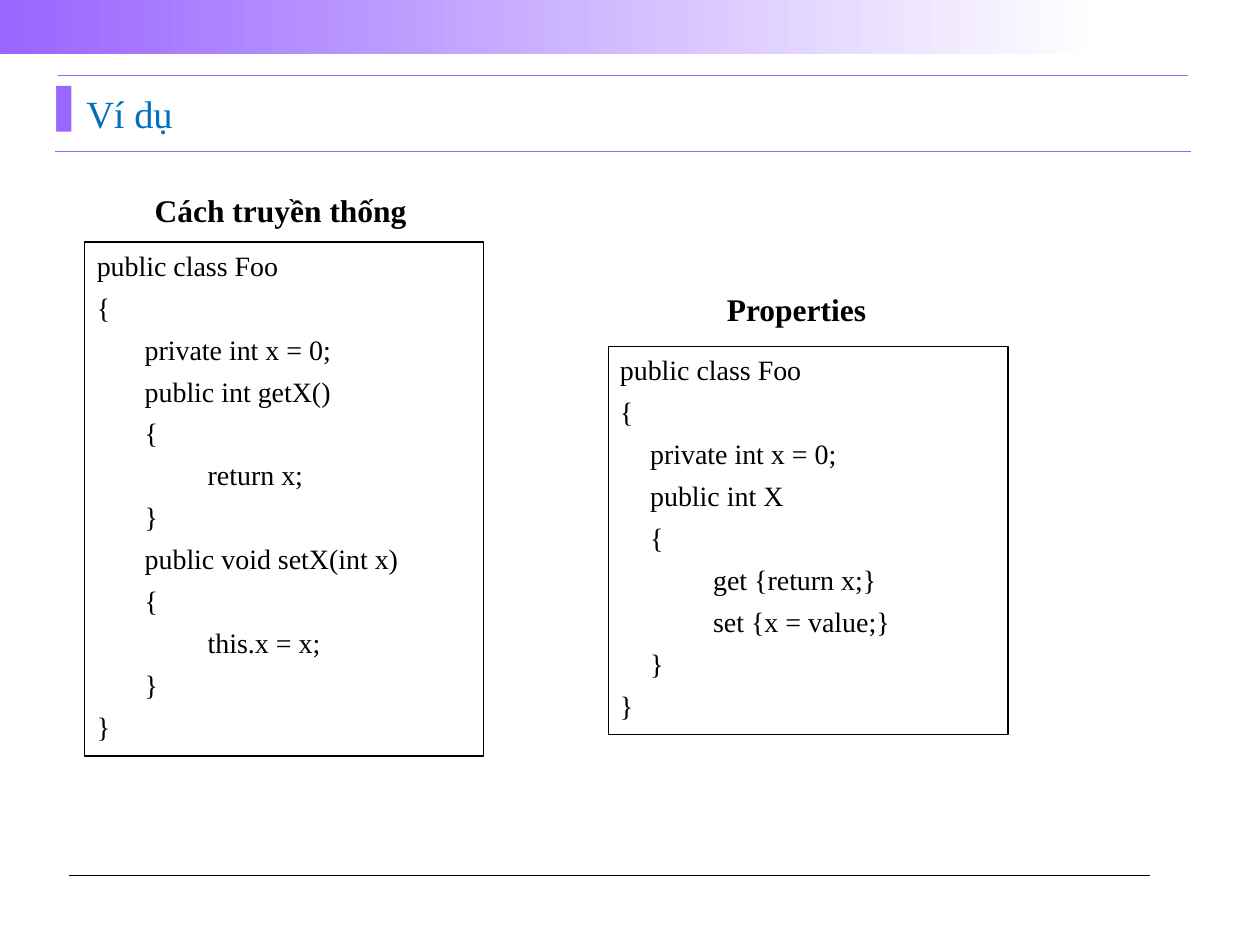
import pptx
import pptx.util
import pptx.dml.color
import pptx.enum.shapes
import pptx.enum.text
import pptx.oxml
import pptx.oxml.ns

W, H = 10, 7.5
FONT = "Times New Roman"
COLORS = {"accent": "9966FF", "title": "0070C0", "ink": "000000", "paper": "FFFFFF"}

GETTER_SETTER = """public class Foo
{
\tprivate int x = 0;
\tpublic int getX()
\t{
\t\treturn x;
\t}
\tpublic void setX(int x)
\t{
\t\tthis.x = x;
\t}
}"""

PROPERTY = """public class Foo
{
\tprivate int x = 0;
\tpublic int X
\t{
\t\tget {return x;}
\t\tset {x = value;}
\t}
}"""


def rgb(name):
    return pptx.dml.color.RGBColor.from_string(COLORS[name])


def inches(*values):
    return [pptx.util.Inches(v) for v in values]


def add_run(p, text, size, color="ink", bold=False):
    r = p.add_run()
    r.text = text
    r.font.name, r.font.size, r.font.bold = FONT, pptx.util.Pt(size), bold
    r.font.color.rgb = rgb(color)


def set_frame(tf, anchor, inset_x=0.1, inset_y=0.05, wrap=True):
    tf.word_wrap = wrap
    tf.vertical_anchor = anchor
    tf.margin_left, tf.margin_right = inches(inset_x, inset_x)
    tf.margin_top, tf.margin_bottom = inches(inset_y, inset_y)


def set_hanging(p, indent):
    p.alignment = pptx.enum.text.PP_ALIGN.LEFT
    pPr = p._p.get_or_add_pPr()
    pPr.set("marL", str(pptx.util.Inches(indent)))
    pPr.set("indent", str(-pptx.util.Inches(indent)))
    return pPr


def add_xml(parent, xml):
    head, rest = xml.split(">", 1) if not xml.endswith("/>") else (xml[:-2], None)
    ns = pptx.oxml.ns.nsdecls("a")
    xml = f"{head} {ns}/>" if rest is None else f"{head} {ns}>{rest}"
    parent.append(pptx.oxml.parse_xml(xml))


def add_rule(s, x1, x2, y, color, width):
    line = s.shapes.add_connector(
        pptx.enum.shapes.MSO_CONNECTOR.STRAIGHT, *inches(x1, y, x2, y))
    line.line.color.rgb = rgb(color)
    line.line.width = pptx.util.Pt(width)
    add_xml(line._element.spPr, "<a:effectLst/>")


def add_rect(s, x, y, w, h):
    sp = s.shapes.add_shape(
        pptx.enum.shapes.MSO_SHAPE.RECTANGLE, *inches(x, y, w, h))
    sp.shadow.inherit = False
    return sp


def add_band(s):
    sp = add_rect(s, 0, 0, 8.76, 0.43)
    sp.line.fill.background()
    sp.fill.gradient()
    sp.fill.gradient_angle = 0
    for stop, color in zip(sp.fill.gradient_stops, ("accent", "paper")):
        stop.color.rgb = rgb(color)


def set_title(s, text):
    sp = s.shapes.title
    sp.left, sp.top, sp.width, sp.height = inches(0.45, 0.71, 8.62, 0.37)
    set_frame(sp.text_frame, pptx.enum.text.MSO_ANCHOR.BOTTOM, 0, 0)
    p = sp.text_frame.paragraphs[0]
    pPr = set_hanging(p, 0.19)
    add_xml(pPr, f'<a:buClr><a:srgbClr val="{COLORS["accent"]}"/></a:buClr>')
    add_xml(pPr, '<a:buChar char="▌"/>')
    add_run(p, text, 22, "title")


def add_heading(s, text, x, y, w):
    tf = s.shapes.add_textbox(*inches(x, y, w, 0.4)).text_frame
    set_frame(tf, pptx.enum.text.MSO_ANCHOR.MIDDLE, wrap=False)
    add_run(tf.paragraphs[0], text, 18, bold=True)


def add_code(s, code, x, y, h, indent, inset):
    sp = add_rect(s, x, y, 3.17, h)
    sp.fill.background()
    sp.line.color.rgb = rgb("ink")
    sp.line.width = pptx.util.Pt(0.75)
    tf = sp.text_frame
    set_frame(tf, pptx.enum.text.MSO_ANCHOR.TOP, inset)
    tabs = "".join(f'<a:tab pos="{pptx.util.Inches(i)}" algn="l"/>' for i in range(8))
    for i, text in enumerate(code.splitlines()):
        p = tf.add_paragraph() if i else tf.paragraphs[0]
        p.space_before = pptx.util.Pt(4.8)
        add_xml(set_hanging(p, indent), f"<a:tabLst>{tabs}</a:tabLst>")
        add_run(p, text, 16)


def main():
    prs = pptx.Presentation()
    prs.slide_width, prs.slide_height = inches(W, H)
    s = prs.slides.add_slide(prs.slide_layouts[5])

    # Page frame
    add_band(s)
    add_rule(s, 0.44, 9.45, 1.2, "accent", 0.5)
    add_rule(s, 0.55, 9.13, 6.95, "ink", 0.75)
    add_rule(s, 0.46, 9.43, 0.6, "accent", 0.75)
    set_title(s, "Ví dụ")

    # Two versions of the class
    add_code(s, PROPERTY, 4.83, 2.75, 3.08, 0.24, 0.09)
    add_code(s, GETTER_SETTER, 0.67, 1.92, 4.08, 0.38, 0.1)
    add_heading(s, "Cách truyền thống", 1.13, 1.47, 2.24)
    add_heading(s, "Properties", 5.67, 2.25, 1.49)

    prs.save("out.pptx")


if __name__ == "__main__":
    main()
